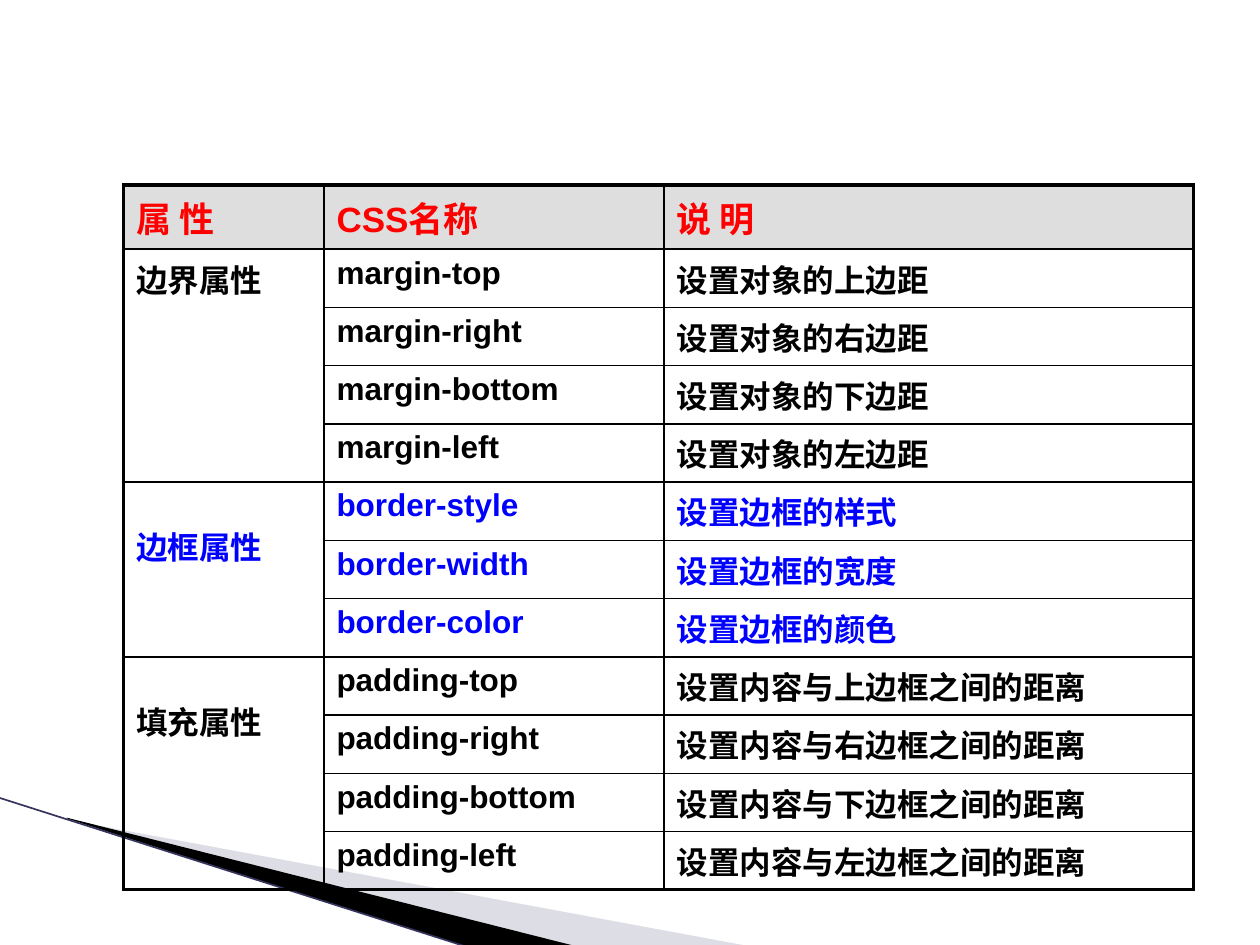
from collections import namedtuple
from dataclasses import dataclass

from lxml.etree import SubElement
from pptx import Presentation
from pptx.dml.color import RGBColor
from pptx.enum.shapes import MSO_CONNECTOR
from pptx.oxml.ns import qn
from pptx.util import Pt

Box = namedtuple("Box", "left top width height")


@dataclass(frozen=True)
class Theme:
    font: str = "Arial"
    header_size: float = 20
    body_size: float = 18
    header_text: str = "FF0000"
    text: str = "000000"
    accent: str = "0000FF"
    header_fill: str = "DEDEDE"
    grid: str = "000000"
    pale_wedge: str = "AAAABF"
    dark_wedge: str = "000000"
    edge_line: str = "34345C"
    thin: float = 1
    thick: float = 2.25


THEME = Theme()
HEADER = ("属 性", "CSS名称", "说 明")
# Group name, colour, space above the name, CSS rows
GROUPS = [
    ("边界属性", THEME.text, 0, [
        ("margin-top", "设置对象的上边距"),
        ("margin-right", "设置对象的右边距"),
        ("margin-bottom", "设置对象的下边距"),
        ("margin-left", "设置对象的左边距"),
    ]),
    ("边框属性", THEME.accent, 20, [
        ("border-style", "设置边框的样式"),
        ("border-width", "设置边框的宽度"),
        ("border-color", "设置边框的颜色"),
    ]),
    ("填充属性", THEME.text, 20, [
        ("padding-top", "设置内容与上边框之间的距离"),
        ("padding-right", "设置内容与右边框之间的距离"),
        ("padding-bottom", "设置内容与下边框之间的距离"),
        ("padding-left", "设置内容与左边框之间的距离"),
    ]),
]
COLUMN_WIDTHS = (114.5, 194.4, 302.4)
HEADER_HEIGHT, ROW_HEIGHT = 36.6, 33.25
CELL_MARGIN = 3.6


def rgb(value):
    return RGBColor.from_string(value)


def add_wedge(slide, box, points, color, opacity=100):
    corners = [(Pt(box.left + x), Pt(box.top + y)) for x, y in points]
    builder = slide.shapes.build_freeform(*corners[0], scale=1.0)
    builder.add_line_segments(corners[1:], close=True)
    wedge = builder.convert_to_shape()
    wedge.shadow.inherit = False
    wedge.fill.solid()
    wedge.fill.fore_color.rgb = rgb(color)
    wedge.line.fill.background()
    if opacity < 100:
        tint = wedge._element.spPr.find(qn("a:solidFill"))[0]
        SubElement(tint, qn("a:alpha"), val=str(opacity * 1000))


def add_corner_sweep(slide, box):
    """Wedges and edge line at the lower left of the slide."""
    add_wedge(slide, box, [(39.6, 12.7), (428.4, 84.7), (328.3, 84.7), (39.6, 12)],
              THEME.pale_wedge, opacity=40)
    add_wedge(slide, box, [(38.2, 11.3), (329, 84.7), (267.8, 85.4), (38.9, 12)],
              THEME.dark_wedge)
    edge = slide.shapes.add_connector(
        MSO_CONNECTOR.STRAIGHT, Pt(box.left - 0.7), Pt(box.top - 0.2),
        Pt(box.left + 267.8), Pt(box.top + 85.4))
    edge.line.color.rgb = rgb(THEME.edge_line)
    edge.line.width = Pt(0.95)
    SubElement(edge._element.spPr, qn("a:effectLst"))


def set_borders(cell, widths):
    """Draw the four cell edges; a width of zero hides an edge."""
    properties = cell._tc.get_or_add_tcPr()
    for side in "LRTB":
        width = widths[side]
        edge = SubElement(properties, qn(f"a:ln{side}"), w=str(Pt(width)))
        if width:
            fill = SubElement(edge, qn("a:solidFill"))
            SubElement(fill, qn("a:srgbClr"), val=THEME.grid)
        else:
            SubElement(edge, qn("a:noFill"))


def write_cell(cell, text, size, color, space_above=0):
    cell.margin_top = Pt(CELL_MARGIN + space_above)
    cell.text = text
    font = cell.text_frame.paragraphs[0].runs[0].font
    formats = {"name": THEME.font, "size": Pt(size), "bold": True}
    for attribute, value in formats.items():
        setattr(font, attribute, value)
    font.color.rgb = rgb(color)


def add_property_table(slide, box):
    """CSS properties, with the first column merged by group."""
    row_count = 1 + sum(len(entries) for *_, entries in GROUPS)
    column_count = len(COLUMN_WIDTHS)
    table = slide.shapes.add_table(
        row_count, column_count, *(Pt(length) for length in box)).table
    table.first_row = table.horz_banding = False
    for column, width in zip(table.columns, COLUMN_WIDTHS):
        column.width = Pt(width)
    for index, row in enumerate(table.rows):
        row.height = Pt(ROW_HEIGHT if index else HEADER_HEIGHT)

    # Text and merged group names
    for column, heading in enumerate(HEADER):
        write_cell(table.cell(0, column), heading, THEME.header_size, THEME.header_text)
    group_edges = {0, 1}
    start = 1
    for name, color, space_above, entries in GROUPS:
        end = start + len(entries)
        group_edges.add(end)
        table.cell(start, 0).merge(table.cell(end - 1, 0))
        write_cell(table.cell(start, 0), name, THEME.body_size, color, space_above)
        for row, entry in enumerate(entries, start):
            for column, text in enumerate(entry, 1):
                write_cell(table.cell(row, column), text, THEME.body_size, color)
        start = end

    # Thick outer frame, thin inner grid
    def edge_width(position, last):
        return THEME.thick if position in (0, last) else THEME.thin

    for row in range(row_count):
        for column in range(column_count):
            cell = table.cell(row, column)
            bottom = row + (cell.span_height if cell.is_merge_origin else 1)
            widths = {"L": edge_width(column, column_count),
                      "R": edge_width(column + 1, column_count)}
            for side, position in (("T", row), ("B", bottom)):
                hidden = column == 0 and position not in group_edges
                widths[side] = 0 if hidden else edge_width(position, row_count)
            set_borders(cell, widths)
            if row == 0:
                cell.fill.solid()
                cell.fill.fore_color.rgb = rgb(THEME.header_fill)
            else:
                cell.fill.background()


def main():
    deck = Presentation()
    deck.slide_width, deck.slide_height = Pt(720), Pt(540)
    slide = deck.slides.add_slide(deck.slide_layouts[6])
    add_corner_sweep(slide, Box(0, 456, 428.4, 84))
    add_property_table(slide, Box(70.6, 105.8, sum(COLUMN_WIDTHS), 402.35))
    deck.save("out.pptx")


if __name__ == "__main__":
    main()
